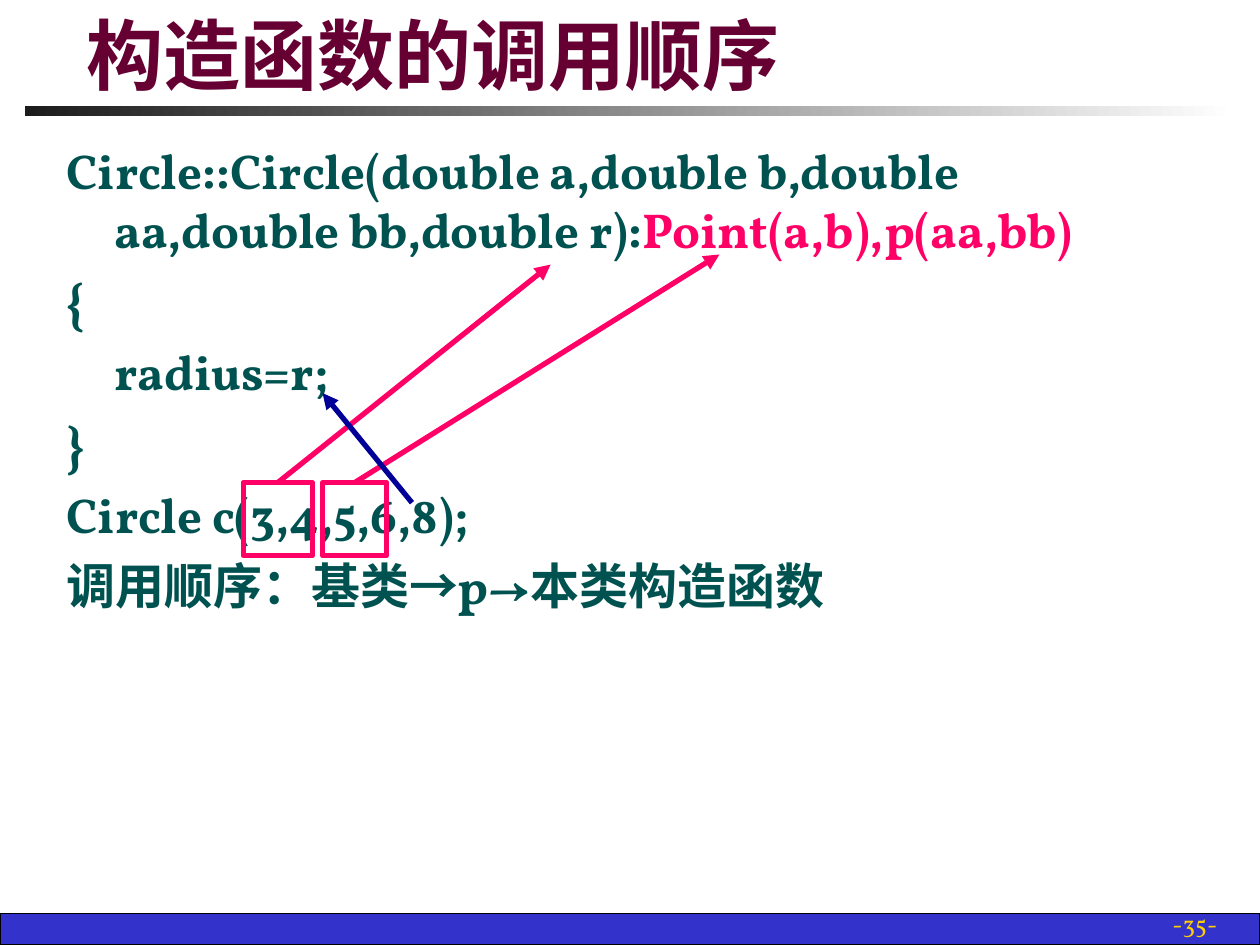
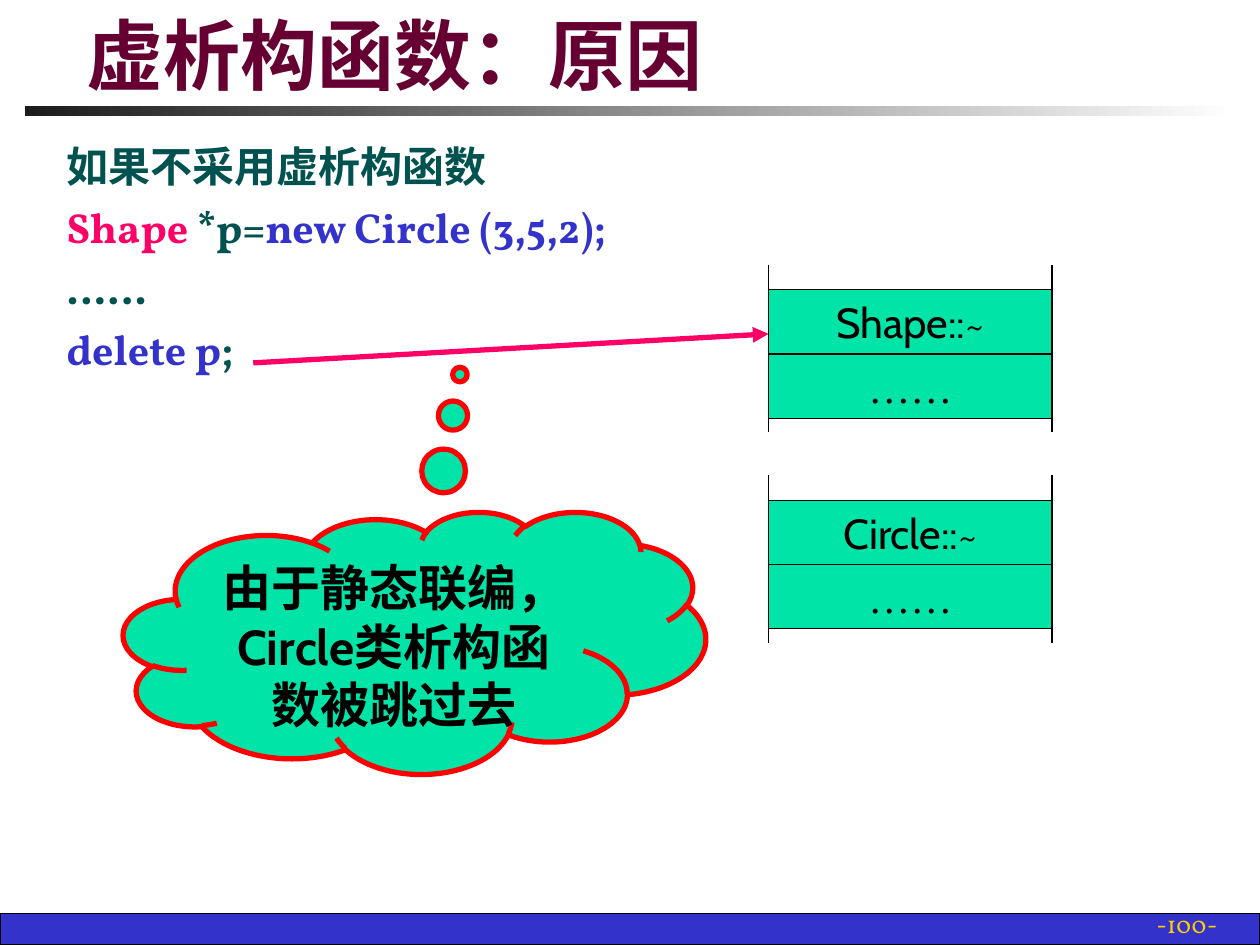
from lxml.etree import SubElement
from pptx import Presentation
from pptx.dml.color import RGBColor
from pptx.enum.shapes import MSO_CONNECTOR, MSO_SHAPE
from pptx.enum.text import MSO_ANCHOR, MSO_AUTO_SIZE, PP_ALIGN
from pptx.oxml.ns import qn
from pptx.util import Inches, Pt

BLACK = RGBColor(0x00, 0x00, 0x00)
WHITE = RGBColor(0xFF, 0xFF, 0xFF)
CHARCOAL = RGBColor(0x1C, 0x1C, 0x1C)
BLUE = RGBColor(0x33, 0x33, 0xCC)
NAVY = RGBColor(0x00, 0x00, 0x99)
YELLOW = RGBColor(0xFF, 0xCF, 0x01)
MAROON = RGBColor(0x66, 0x00, 0x33)
TEAL = RGBColor(0x00, 0x52, 0x50)
PINK = RGBColor(0xFF, 0x00, 0x66)
RED = RGBColor(0xFF, 0x00, 0x00)
MINT = RGBColor(0x00, 0xE4, 0xA8)

SERIF, SANS, TITLE_FONT, DOTS_FONT = "Vollkorn", "Cabin", "Comic Neue", "Times New Roman"
BODY_BOX = (0.43, 1.07, 9.14, 5.67)
HANG = Inches(0.38)


def format_run(r, font, size, color, bold=False):
    """Set the font of one run."""
    r.font.name, r.font.size, r.font.bold = font, Pt(size), bold
    r.font.color.rgb = color


def add_block(shapes, kind, box, fill=None, line=None, width=0.75):
    """Add a shadowless preset shape with an optional fill and outline."""
    sp = shapes.add_shape(kind, *map(Inches, box))
    sp.shadow.inherit = False
    if fill is None:
        sp.fill.background()
    else:
        sp.fill.solid()
        sp.fill.fore_color.rgb = fill
    if line is None:
        sp.line.fill.background()
    else:
        sp.line.color.rgb = line
        sp.line.width = Pt(width)
    return sp


def add_line(shapes, start, end, color, width=0.75, arrow=False):
    """Add a straight shadowless line, with an arrowhead at its end if asked."""
    c = shapes.add_connector(MSO_CONNECTOR.STRAIGHT, *map(Inches, start + end))
    c.line.color.rgb = color
    c.line.width = Pt(width)
    spPr = c._element.spPr
    if arrow:
        SubElement(spPr.find(qn("a:ln")), qn("a:tailEnd"), type="triangle")
    SubElement(spPr, qn("a:effectLst"))
    return c


def label(sp, text, font, size, bold=False):
    """Write centred black text into a shape."""
    tf = sp.text_frame
    tf.text = text
    p = tf.paragraphs[0]
    p.alignment = PP_ALIGN.CENTER
    format_run(p.runs[0], font, size, BLACK, bold)
    return tf


def add_footer(s, box, number):
    """Draw the bottom band with the page number over it."""
    x, y, w, h = box
    add_block(s.shapes, MSO_SHAPE.RECTANGLE, box, BLUE, BLACK)
    tf = s.shapes.add_textbox(*map(Inches, (x + 7.68, y - 0.08, 2.08, 0.33))).text_frame
    tf.word_wrap = True
    tf.vertical_anchor = MSO_ANCHOR.BOTTOM
    tf.text = f"-{number}-"
    p = tf.paragraphs[0]
    p.alignment = PP_ALIGN.RIGHT
    format_run(p.runs[0], SERIF, 14, YELLOW)


def add_title(s, box, text):
    """Place the title and the fading rule below it."""
    x, y, w, h = box
    rule = add_block(s.shapes, MSO_SHAPE.RECTANGLE, (x - 0.39, y + h, 9.61, 0.08))
    rule.fill.gradient()
    rule.fill.gradient_angle = 0
    for stop, color, position in zip(rule.fill.gradient_stops, (CHARCOAL, WHITE), (0, 1)):
        stop.color.rgb = color
        stop.position = position
    sp = s.shapes.title
    sp.left, sp.top, sp.width, sp.height = map(Inches, box)
    tf = sp.text_frame
    tf.text = text
    tf.auto_size = MSO_AUTO_SIZE.NONE
    tf.vertical_anchor = MSO_ANCHOR.BOTTOM
    p = tf.paragraphs[0]
    p.alignment = PP_ALIGN.LEFT
    format_run(p.runs[0], TITLE_FONT, 44, MAROON, True)


def add_body(s, box, size, lines):
    """Write hanging paragraphs, each a list of (text, colour) parts."""
    tf = s.shapes.add_textbox(*map(Inches, box)).text_frame
    tf.word_wrap = True
    for i, parts in enumerate(lines):
        p = tf.add_paragraph() if i else tf.paragraphs[0]
        pPr = p._p.get_or_add_pPr()
        pPr.set("marL", str(HANG))
        pPr.set("indent", str(-HANG))
        if i:
            p.space_before = Pt(size / 4)
        for text, color in parts:
            r = p.add_run()
            r.text = text
            format_run(r, SERIF, size, color, True)


def add_class_box(s, box, name):
    """Draw a two-row class record between two posts."""
    x, y, w, h = box
    row = 0.51
    shapes = s.shapes.add_group_shape().shapes
    for i, (text, font) in enumerate(((name, SANS), ("……", DOTS_FONT))):
        cell = add_block(shapes, MSO_SHAPE.RECTANGLE, (x, y + 0.2 + i * row, w, row), MINT, BLACK)
        label(cell, text, font, 24).word_wrap = False
    for post in (x, x + w):
        add_line(shapes, (post, y), (post, y + h), BLACK)


def add_cloud(s, box, text):
    """Draw the thought cloud whose bubbles rise towards the arrow."""
    sp = add_block(s.shapes, MSO_SHAPE.CLOUD_CALLOUT, box, MINT, RED, 3)
    sp.adjustments[0], sp.adjustments[1] = 0.078, -1.023
    tf = label(sp, text, SANS, 28, True)
    tf.word_wrap = True
    tf.vertical_anchor = MSO_ANCHOR.TOP


def add_base(prs, title, number):
    """Add a slide with the shared title and footer."""
    s = prs.slides.add_slide(prs.slide_layouts[5])
    add_footer(s, (0, 7.25, 10, 0.25), number)
    add_title(s, (0.59, 0.13, 8.72, 0.71), title)
    return s


def add_call_order_slide(prs):
    """Show which arguments reach which constructor."""
    s = add_base(prs, "构造函数的调用顺序", 35)
    signature = "Circle::Circle(double a,double b,double aa,double bb,double r):"
    rest = ("{", "\tradius=r;", "}", "Circle c(3,4,5,6,8);", "调用顺序：基类→p→本类构造函数")
    add_body(s, BODY_BOX, 28, [[(signature, TEAL), ("Point(a,b),p(aa,bb)", PINK)],
                               *([(text, TEAL)] for text in rest)])
    top = 3.83
    for x, w, target in ((1.93, 0.55, (4.37, 2.1)), (2.56, 0.51, (5.71, 2.02))):
        frame = add_block(s.shapes, MSO_SHAPE.RECTANGLE, (x, top, w, 0.58), None, PINK, 3)
        arrow = add_line(s.shapes, (x + w / 2, top), target, PINK, 3, True)
        arrow.begin_connect(frame, 0)
    add_line(s.shapes, (3.27, 3.99), (2.56, 3.12), NAVY, 3, True)


def add_virtual_destructor_slide(prs):
    """Show why a non-virtual destructor skips the derived class."""
    s = add_base(prs, "虚析构函数：原因", 100)
    add_body(s, BODY_BOX, 24, [
        [("如果不采用虚析构函数", TEAL)],
        [("Shape", PINK), (" *p=", TEAL), ("new Circle (3,5,2);", BLUE)],
        [("……", TEAL)],
        [("delete p", BLUE), (";", TEAL)],
    ])
    for i, name in enumerate(("Shape::~", "Circle::~")):
        add_class_box(s, (6.1, 2.1 + i * 1.67, 2.25, 1.33), name)
    add_line(s.shapes, (2.01, 2.88), (6.1, 2.65), PINK, 3, True)
    add_cloud(s, (0.98, 4.06, 4.62, 2.08), "由于静态联编，Circle类析构函数被跳过去")


def main():
    """Build and save the presentation."""
    prs = Presentation()
    prs.slide_width, prs.slide_height = Inches(10), Inches(7.5)
    add_call_order_slide(prs)
    add_virtual_destructor_slide(prs)
    prs.save("out.pptx")


if __name__ == "__main__":
    main()
